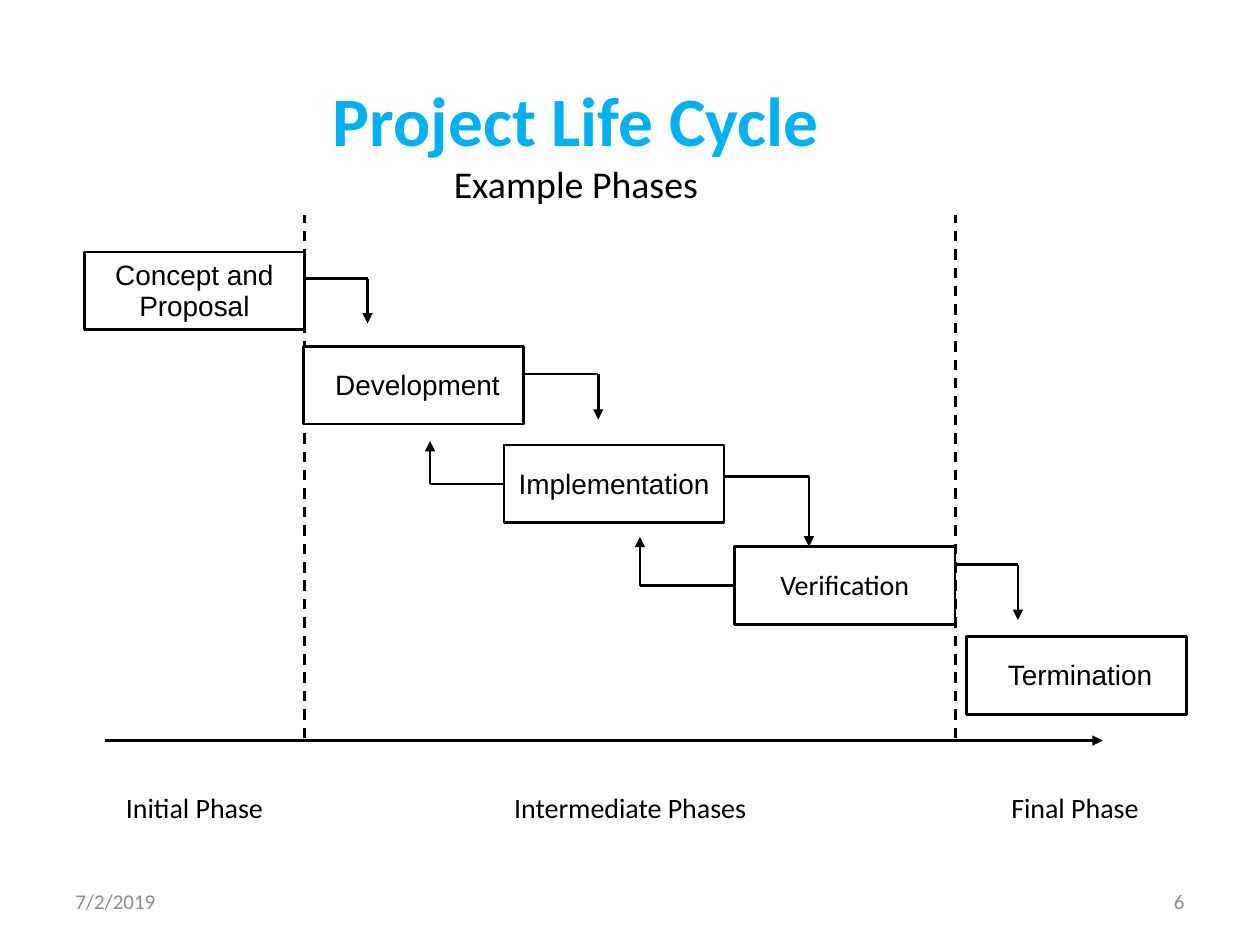
"""Build the project life cycle slide with its phase boxes, arrows and timeline."""
from lxml import etree
from pptx import Presentation
from pptx import util as u
from pptx.dml.color import RGBColor
from pptx.enum import dml, shapes, text
from pptx.oxml import ns

BOX_WIDTH, BOX_HEIGHT = 4.44, 1.57
PHASES = [
    ("Concept and Proposal", 1.7, 5.08, "Arial"),
    (" Development", 6.12, 6.98, "Arial"),
    ("Implementation", 10.16, 8.97, "Arial"),
    ("Verification", 14.81, 11.02, "Calibri"),
    (" Termination", 19.48, 12.83, "Arial"),
]
FORWARD = [(0, 5.62, 7.41, 6.52), (1, 7.54, 12.06, 8.46), (3, 11.38, 20.52, 12.5)]
BACKWARD = [(2, 8.67, 8.89), (3, 12.9, 10.82)]
LABELS = [
    ("Initial Phase", 1.7, 4.44),
    ("Intermediate Phases", 6.14, 13.13),
    ("Final Phase", 19.45, 4.44),
]
FOOTERS = [("7/2/2019", 1.27, text.PP_ALIGN.LEFT), ("6", 18.2, text.PP_ALIGN.RIGHT)]


def color(value):
    return RGBColor.from_string(value)


class LifeCycle:
    def __init__(self, page):
        self.page = page
        self.ink = "000000"
        self.weight = u.Pt(1.5)
        self.leading = u.Pt(18)

    def add_words(self, para, words, ink=None, align=text.PP_ALIGN.CENTER, **formats):
        para.alignment = align
        span = para.add_run()
        span.text = words
        span.font.color.rgb = color(ink or self.ink)
        for name, value in formats.items():
            setattr(span.font, name, value)

    def title(self, heading, subheading):
        box = self.page.shapes.title
        place = {"left": 0.18, "top": 1.37, "width": 22.86, "height": 2.97}
        for name, value in place.items():
            setattr(box, name, u.Cm(value))
        frame = box.text_frame
        frame.auto_size = text.MSO_AUTO_SIZE.NONE
        frame.vertical_anchor = text.MSO_ANCHOR.MIDDLE
        self.add_words(frame.paragraphs[0], heading, "00B0F0",
                       name="Calibri", size=u.Pt(39.6), bold=True)
        self.add_words(frame.add_paragraph(), subheading,
                       name="Calibri", size=u.Pt(21.6), bold=False)

    def phase(self, words, left, top, font):
        box = self.page.shapes.add_shape(
            shapes.MSO_SHAPE.RECTANGLE,
            *map(u.Cm, (left, top, BOX_WIDTH, BOX_HEIGHT)))
        box.shadow.inherit = False
        box.fill.solid()
        box.fill.fore_color.rgb = color("FFFFFF")
        self.stroke(box)
        para = box.text_frame.paragraphs[0]
        para.line_spacing = self.leading
        self.add_words(para, words, name=font, size=u.Pt(16))
        return box

    def label(self, words, left, top, width, height, size, leading=None, inset=None, **formats):
        box = self.page.shapes.add_textbox(*map(u.Cm, (left, top, width, height)))
        frame = box.text_frame
        frame.word_wrap = True
        frame.vertical_anchor = text.MSO_ANCHOR.MIDDLE
        if inset is not None:
            for side in ("left", "top", "right", "bottom"):
                setattr(frame, f"margin_{side}", u.Cm(inset))
        para = frame.paragraphs[0]
        para.line_spacing = leading
        self.add_words(para, words, name="Calibri", size=u.Pt(size), **formats)

    def stroke(self, item, arrow=False, dashed=False):
        item.line.color.rgb = color(self.ink)
        item.line.width = self.weight
        if dashed:
            item.line.dash_style = dml.MSO_LINE.DASH
        if arrow:
            outline = item._element.spPr.find(ns.qn("a:ln"))
            etree.SubElement(outline, ns.qn("a:tailEnd"), type="triangle")

    def line(self, start, end, **look):
        link = self.page.shapes.add_connector(
            shapes.MSO_CONNECTOR.STRAIGHT, *map(u.Cm, (*start, *end)))
        self.stroke(link, **look)
        etree.SubElement(link._element.spPr, ns.qn("a:effectLst"))
        return link

    def elbow(self, start, corner_x, end_y):
        corner = (corner_x, start[1])
        self.line(corner, (corner_x, end_y), arrow=True)
        return self.line(start, corner)

    def bent_arrow(self, *points):
        first, *rest = [tuple(map(u.Cm, point)) for point in points]
        builder = self.page.shapes.build_freeform(*first)
        builder.add_line_segments(rest, close=False)
        bend = builder.convert_to_shape()
        bend.shadow.inherit = False
        bend.fill.background()
        self.stroke(bend, arrow=True)


def main():
    deck = Presentation()
    deck.slide_width, deck.slide_height = u.Cm(25.4), u.Cm(19.05)
    cycle = LifeCycle(deck.slides.add_slide(deck.slide_layouts[5]))
    cycle.title("Project Life Cycle", "Example Phases")

    for x in (6.14, 19.26):
        cycle.line((x, 14.88), (x, 4.34), dashed=True)
    boxes = [cycle.phase(*phase) for phase in PHASES]

    for index, y, corner_x, end_y in FORWARD:
        cycle.elbow((PHASES[index][1] + BOX_WIDTH, y), corner_x, end_y)
    cycle.bent_arrow((14.6, 9.61), (16.31, 9.61), (16.31, 11.02))
    for index, corner_x, end_y in BACKWARD:
        _, left, top, _ = PHASES[index]
        link = cycle.elbow((left, top + BOX_HEIGHT / 2), corner_x, end_y)
        link.begin_connect(boxes[index], 1)

    cycle.line((2.11, 14.93), (22.23, 14.93), arrow=True)
    for words, left, width in LABELS:
        cycle.label(words, left, 15.67, width, 1.27, 16, leading=cycle.leading, inset=0)
    for words, left, align in FOOTERS:
        cycle.label(words, left, 17.65, 5.93, 1.02, 12, ink="8C8C8C", align=align)
    deck.save("out.pptx")


if __name__ == "__main__":
    main()
